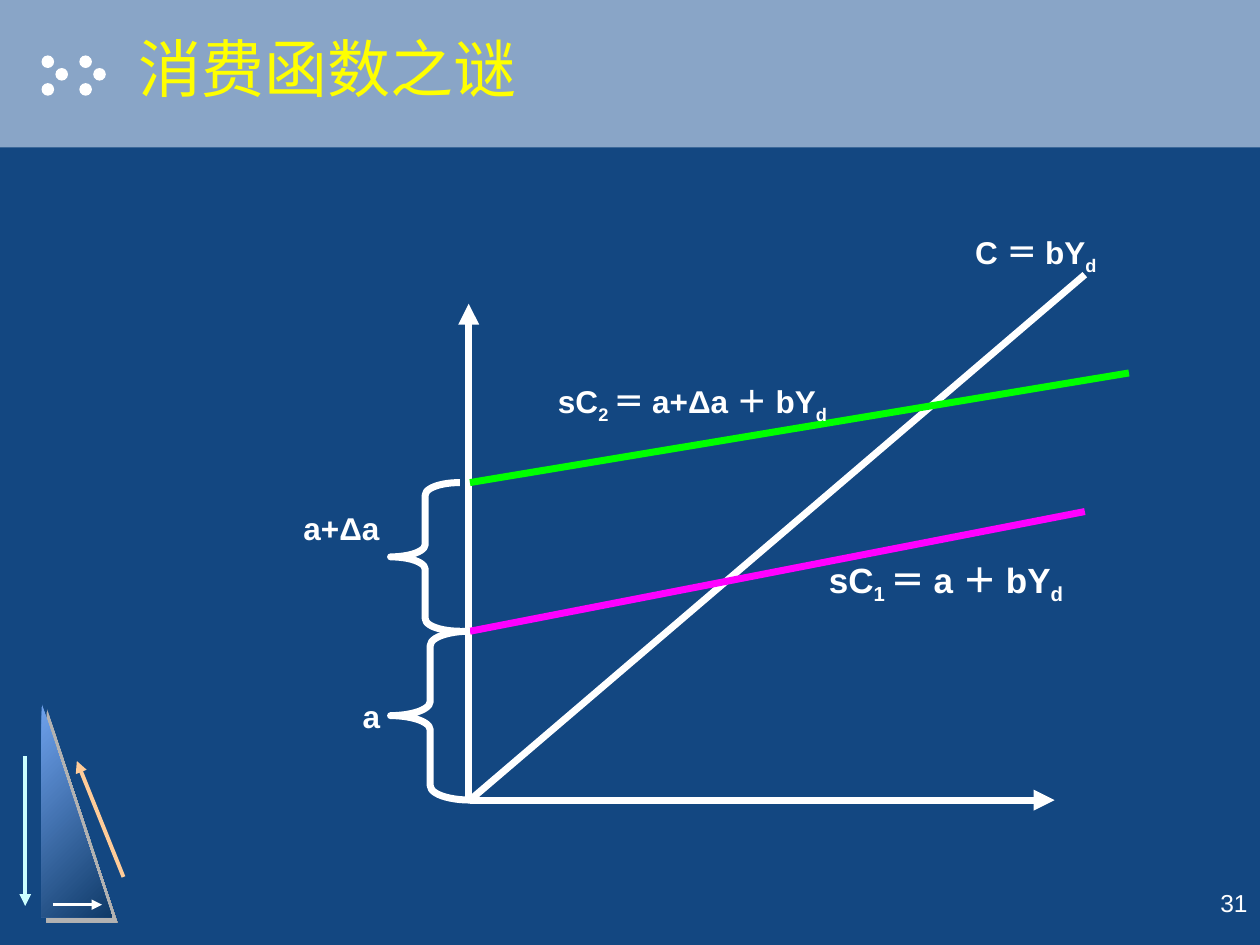
from dataclasses import dataclass

from lxml import etree
from pptx import Presentation
from pptx.dml.color import RGBColor
from pptx.enum.shapes import MSO_CONNECTOR, MSO_SHAPE
from pptx.enum.text import MSO_ANCHOR, PP_ALIGN
from pptx.oxml import parse_xml
from pptx.oxml.ns import nsdecls, qn
from pptx.util import Inches, Pt


@dataclass(frozen=True)
class Theme:
    font: str = "Arial"
    bg: str = "134781"
    band: str = "89A5C7"
    white: str = "FFFFFF"
    title: str = "FFFF00"
    green: str = "00FF00"
    magenta: str = "FF00FF"
    cyan: str = "CCFFFF"
    orange: str = "FFCC99"
    shadow: str = "B2B2B2"
    grad: tuple = ("6FA2ED", "0F3A68")
    title_size: int = 36
    big: int = 20
    label: int = 18
    small: int = 14
    stroke: int = 4


T = Theme()
rgb = RGBColor.from_string


def add_text(runs, x, y, w, h, size=T.label, color=T.white, bold=True,
             align=PP_ALIGN.LEFT, anchor=MSO_ANCHOR.TOP):
    """Add a text box; every second run is a subscript."""
    tf = s.shapes.add_textbox(Inches(x), Inches(y), Inches(w), Inches(h)).text_frame
    tf.word_wrap = True
    tf.vertical_anchor = anchor
    p = tf.paragraphs[0]
    p.alignment = align
    for i, text in enumerate(runs):
        r = p.add_run()
        r.text = text
        r.font.name, r.font.size, r.font.bold = T.font, Pt(size), bold
        r.font.color.rgb = rgb(color)
        if i % 2:
            r._r.get_or_add_rPr().set("baseline", "-25000")
    return p


def add_line(x1, y1, x2, y2, color=T.white, width=T.stroke, arrow=False):
    c = s.shapes.add_connector(MSO_CONNECTOR.STRAIGHT, Inches(x1), Inches(y1),
                               Inches(x2), Inches(y2))
    c.line.color.rgb = rgb(color)
    c.line.width = Pt(width)
    if arrow:
        etree.SubElement(c.line._get_or_add_ln(), qn("a:tailEnd"), type="triangle")
    etree.SubElement(c._element.spPr, qn("a:effectLst"))


prs = Presentation()
prs.slide_width, prs.slide_height = Inches(10), Inches(7.5)
s = prs.slides.add_slide(prs.slide_layouts[6])
s.background.fill.solid()
s.background.fill.fore_color.rgb = rgb(T.bg)

# Title band
band = s.shapes.add_shape(MSO_SHAPE.RECTANGLE, 0, 0, Inches(10), Inches(1.17))
band.shadow.inherit = False
band.fill.solid()
band.fill.fore_color.rgb = rgb(T.band)
band.line.fill.background()

# Two chevrons of three dots
dots = s.shapes.add_group_shape()
for left in (0.33, 0.63):
    for dx, top in ((0, 0.44), (0.11, 0.54), (0, 0.66)):
        dot = dots.shapes.add_shape(MSO_SHAPE.OVAL, Inches(left + dx), Inches(top),
                                    Inches(0.1), Inches(0.1))
        dot.shadow.inherit = False
        dot.fill.solid()
        dot.fill.fore_color.rgb = rgb(T.white)
        dot.line.fill.background()

# Corner triangle with its arrows
tri = s.shapes.add_shape(MSO_SHAPE.RIGHT_TRIANGLE, Inches(0.33), Inches(5.58),
                         Inches(0.56), Inches(1.7))
tri.fill.gradient()
tri.fill.gradient_angle = 315
for stop, color, pos in zip(tri.fill.gradient_stops, T.grad, (0, 1)):
    stop.color.rgb = rgb(color)
    stop.position = pos
tri.line.fill.background()
tri._element.spPr.append(parse_xml(
    f'<a:effectLst {nsdecls("a")}><a:outerShdw dist="{Pt(4.2)}" dir="2700000">'
    f'<a:srgbClr val="{T.shadow}"/></a:outerShdw></a:effectLst>'))
add_line(0.2, 6, 0.2, 7.19, T.cyan, 2.25, arrow=True)
add_line(0.98, 6.96, 0.61, 6.04, T.orange, 2.25, arrow=True)
add_line(0.42, 7.18, 0.81, 7.18, T.white, 1.5, arrow=True)

# Title with a text shadow
p = add_text(["消费函数之谜"], 1, 0, 9, 1.07, size=T.title_size, color=T.title,
             bold=False, anchor=MSO_ANCHOR.MIDDLE)
fill = p.runs[0]._r.get_or_add_rPr().find(qn("a:solidFill"))
fill.addnext(parse_xml(
    f'<a:effectLst {nsdecls("a")}><a:outerShdw dist="{Pt(2)}" dir="2700000">'
    '<a:srgbClr val="000000"/></a:outerShdw></a:effectLst>'))

# Axes and consumption lines
x0, y0 = 3.73, 6.35
y_c1, y_c2 = 5.01, 3.83
add_line(x0, y0, 8.37, y0, arrow=True)
add_line(3.72, y0, 3.72, 2.41, arrow=True)
add_line(x0, y0, 8.61, 2.18)
add_line(x0, y_c1, 8.61, 4.06, T.magenta)
add_line(x0, y_c2, 8.96, 2.96, T.green)

# Intercept braces
for top, bottom, width in ((y_c1, y0, 0.63), (y_c2, y_c1, 0.55)):
    sp = s.shapes.add_shape(MSO_SHAPE.LEFT_BRACE, Inches(3.1), Inches(top),
                            Inches(width), Inches(bottom - top))
    sp.shadow.inherit = False
    sp.adjustments[0] = 0.18
    sp.fill.background()
    sp.line.color.rgb = rgb(T.white)
    sp.line.width = Pt(T.stroke)

# Labels
add_text(["sC", "1 ", "＝ a ＋ bY", "d"], 6.48, 4.38, 2.14, 0.43, size=T.big)
add_text(["sC", "2 ", "＝ a+Δa ＋ bY", "d"], 4.33, 2.98, 2.49, 0.4)
add_text(["C ＝ bY", "d"], 7.64, 1.8, 1.19, 0.4)
add_text(["a"], 2.78, 5.48, 0.34, 0.4)
add_text(["a+Δa"], 2.31, 3.99, 0.88, 0.4)

# Slide number
add_text(["31"], 7.45, 7, 2.55, 0.5, size=T.small, bold=False, align=PP_ALIGN.RIGHT)

prs.save("out.pptx")
